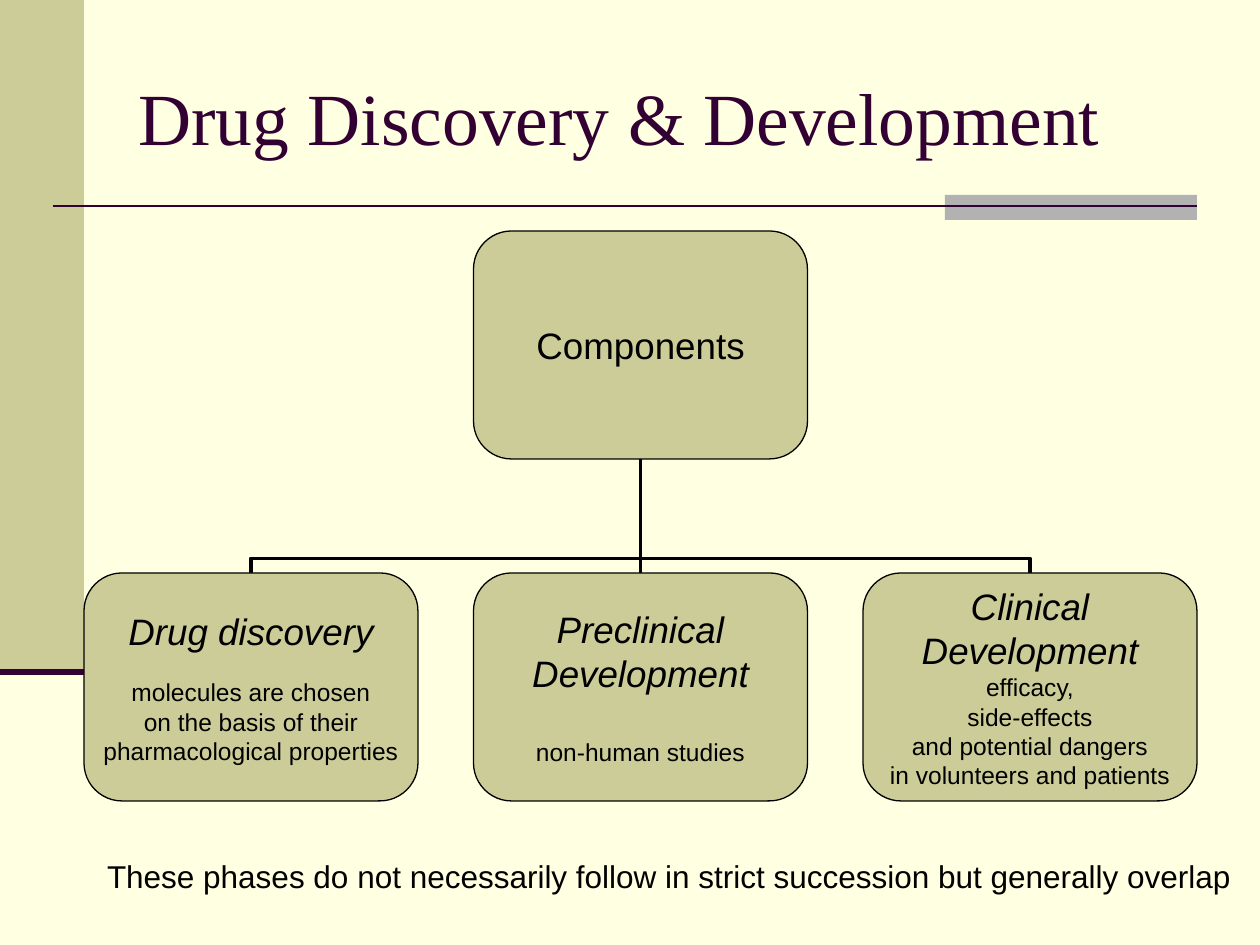
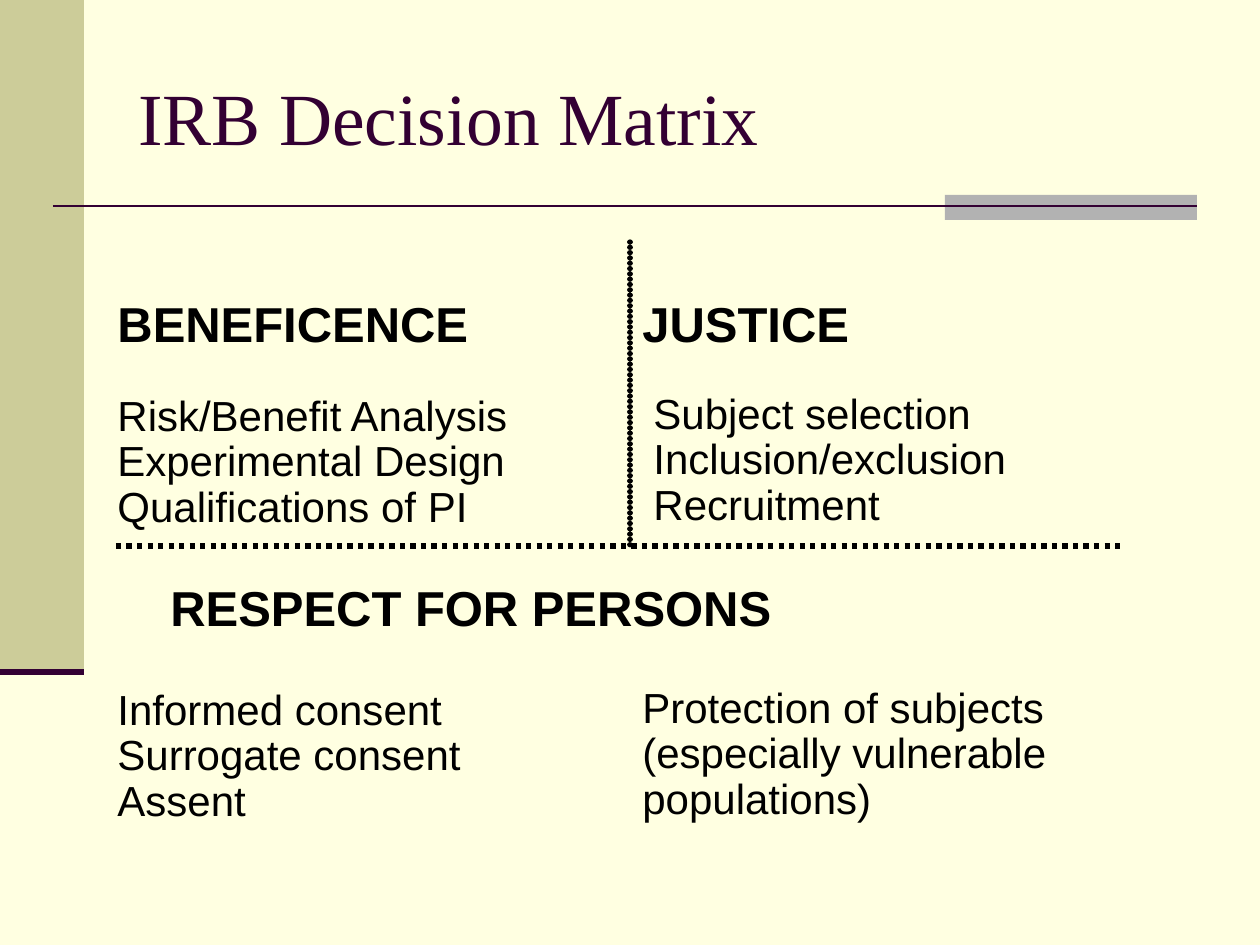
from lxml.etree import SubElement
from pptx import Presentation
from pptx.dml.color import RGBColor
from pptx.enum.dml import MSO_LINE
from pptx.enum.shapes import MSO_CONNECTOR, MSO_SHAPE
from pptx.enum.text import MSO_ANCHOR, PP_ALIGN
from pptx.oxml.ns import qn
from pptx.util import Pt

CREAM = RGBColor(0xFF, 0xFF, 0xE1)
KHAKI = RGBColor(0xCC, 0xCC, 0x99)
GRAY = RGBColor(0xB2, 0xB2, 0xB2)
PLUM = RGBColor(0x33, 0x00, 0x33)
BLACK = RGBColor(0x00, 0x00, 0x00)
SANS = "Arial"
SERIF = "Times New Roman"
EMU = 914400 / 126
BOX_W, BOX_H = 334, 228
TOP_Y, LOW_Y = 231, 573
LEFT_X, STEP = 84, 389.5


def px(num):
    return round(num * EMU)


def style(para, size, font=SANS, color=BLACK, bold=False, italic=False):
    para.font.size = Pt(size)
    para.font.name = font
    para.font.color.rgb = color
    para.font.bold = bold
    para.font.italic = italic


def add_rect(slide, kind, x, y, w, h, fill):
    shape = slide.shapes.add_shape(kind, px(x), px(y), px(w), px(h))
    shape.shadow.inherit = False
    shape.fill.solid()
    shape.fill.fore_color.rgb = fill
    shape.line.fill.background()
    return shape


def add_line(slide, x1, y1, x2, y2, color, width, kind=MSO_CONNECTOR.STRAIGHT):
    line = slide.shapes.add_connector(kind, px(x1), px(y1), px(x2), px(y2))
    line.line.color.rgb = color
    line.line.width = Pt(width)
    SubElement(line._element.spPr, qn("a:effectLst"))
    return line


def add_text(slide, x, y, w, h, lines, size, spacing=None, **look):
    box = slide.shapes.add_textbox(px(x), px(y), px(w), px(h))
    frame = box.text_frame
    frame.word_wrap = True
    frame.text = "\n".join(lines)
    for para in frame.paragraphs:
        para.line_spacing = spacing
        style(para, size, **look)
    return frame


def add_slide(prs, title):
    slide = prs.slides.add_slide(prs.slide_layouts[6])
    slide.background.fill.solid()
    slide.background.fill.fore_color.rgb = CREAM
    add_rect(slide, MSO_SHAPE.RECTANGLE, 0, 0, 84, 672, KHAKI)
    add_rect(slide, MSO_SHAPE.RECTANGLE, 945, 195, 252, 25, GRAY)
    add_line(slide, 53, 206, 1197, 206, PLUM, 1.5)
    add_line(slide, 0, 672, 84, 672, PLUM, 3.5)
    frame = add_text(slide, 126, 38, 1071, 157, [title], 42, font=SERIF, color=PLUM)
    frame.vertical_anchor = MSO_ANCHOR.MIDDLE
    return slide


def add_node(slide, col, y, heads, notes=(), gap=0):
    node = add_rect(slide, MSO_SHAPE.ROUNDED_RECTANGLE,
                    LEFT_X + col * STEP, y, BOX_W, BOX_H, KHAKI)
    node.line.color.rgb = BLACK
    node.line.width = Pt(0.75)
    frame = node.text_frame
    frame.word_wrap = False
    frame.vertical_anchor = MSO_ANCHOR.MIDDLE
    frame.margin_left = frame.margin_right = 0
    frame.margin_top = frame.margin_bottom = 0
    frame.text = "\n".join([*heads, *notes])
    for num, para in enumerate(frame.paragraphs):
        para.alignment = PP_ALIGN.CENTER
        head = num < len(heads)
        style(para, 21 if head else 14, italic=head and bool(notes))
        if num == len(heads):
            para.space_before = Pt(gap)
    return node


def add_link(slide, root, node, col):
    mid = LEFT_X + STEP + BOX_W / 2
    x = LEFT_X + col * STEP + BOX_W / 2
    end = TOP_Y + BOX_H
    kind = MSO_CONNECTOR.STRAIGHT if col == 1 else MSO_CONNECTOR.ELBOW
    link = add_line(slide, x, LOW_Y, mid, end, BLACK, 2.25, kind)
    link.begin_connect(node, 0)
    link.end_connect(root, 2)
    if col != 1:
        wide, high = LOW_Y - end, STEP
        link.left = px((x + mid - wide) / 2)
        link.top = px((LOW_Y + end - high) / 2)
        link.width, link.height = px(wide), px(high)
        form = link._element.spPr.find(qn("a:xfrm"))
        form.set("rot", "5400000" if col == 0 else "16200000")
        form.set("flipH", "1" if col == 0 else "0")
        form.set("flipV", "1")
        geom = link._element.spPr.find(qn("a:prstGeom"))
        guides = geom.find(qn("a:avLst"))
        if guides is None:
            guides = SubElement(geom, qn("a:avLst"))
        SubElement(guides, qn("a:gd"), name="adj1", fmla="val 12700")
    tree = slide.shapes._spTree
    tree.remove(link._element)
    tree.insert(tree.index(root._element), link._element)


def add_dots(slide, x1, y1, x2, y2):
    line = add_line(slide, x1, y1, x2, y2, BLACK, 3)
    stroke = line.line._get_or_add_ln()
    stroke.set("cap", "rnd")
    dash = SubElement(stroke, qn("a:custDash"))
    SubElement(dash, qn("a:ds"), d="100000", sp="1000")
    SubElement(stroke, qn("a:round"))


def build_phases(prs):
    slide = add_slide(prs, "Drug Discovery & Development")
    note = add_text(
        slide, 107, 857, 1140, 50,
        ["These phases do not necessarily follow in strict succession but generally overlap"], 18)
    note.margin_left = note.margin_right = note.margin_top = 0
    phases = [
        (["Drug discovery"],
         ["molecules are chosen", "on the basis of their", "pharmacological properties"], 14),
        (["Preclinical", "Development"], ["non-human studies"], 24),
        (["Clinical", "Development"],
         ["efficacy,", "side-effects", "and potential dangers",
          "in volunteers and patients"], 0),
    ]
    root = add_node(slide, 1, TOP_Y, ["Components"])
    for col, (heads, notes, gap) in enumerate(phases):
        node = add_node(slide, col, LOW_Y, heads, notes, gap)
        add_link(slide, root, node, col)


def build_matrix(prs):
    slide = add_slide(prs, "IRB Decision Matrix")
    add_dots(slide, 630, 242, 630, 546)
    rule = add_line(slide, 116, 546, 1124, 546, BLACK, 3)
    rule.line.dash_style = MSO_LINE.ROUND_DOT
    heads = [
        (105, 294, 525, "BENEFICENCE"),
        (630, 294, 525, "JUSTICE"),
        (158, 578, 945, "RESPECT FOR PERSONS"),
    ]
    for x, y, w, head in heads:
        add_text(slide, x, y, w, 66, [head], 28, 0.9, bold=True)
    lists = [
        (630, 681, ["Protection of subjects (especially vulnerable populations)"]),
        (105, 683, ["Informed consent", "Surrogate consent", "Assent"]),
        (105, 389, ["Risk/Benefit Analysis", "Experimental Design", "Qualifications of PI"]),
        (641, 387, ["Subject selection", "Inclusion/exclusion", "Recruitment"]),
    ]
    for x, y, lines in lists:
        add_text(slide, x, y, 525, 149, lines, 24, 0.9)


def main():
    prs = Presentation()
    prs.slide_width, prs.slide_height = px(1260), px(945)
    build_phases(prs)
    build_matrix(prs)
    prs.save("out.pptx")


if __name__ == "__main__":
    main()
